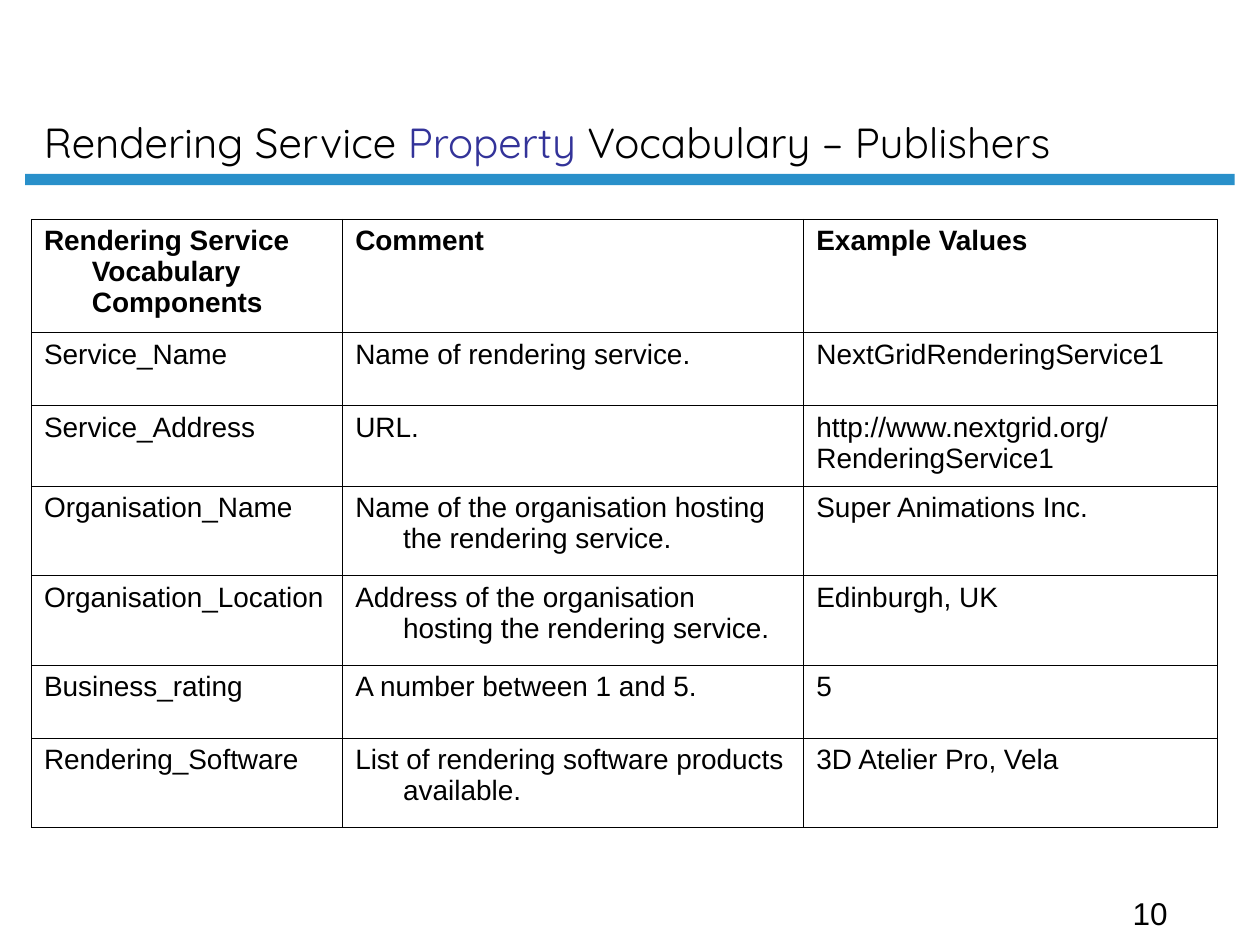
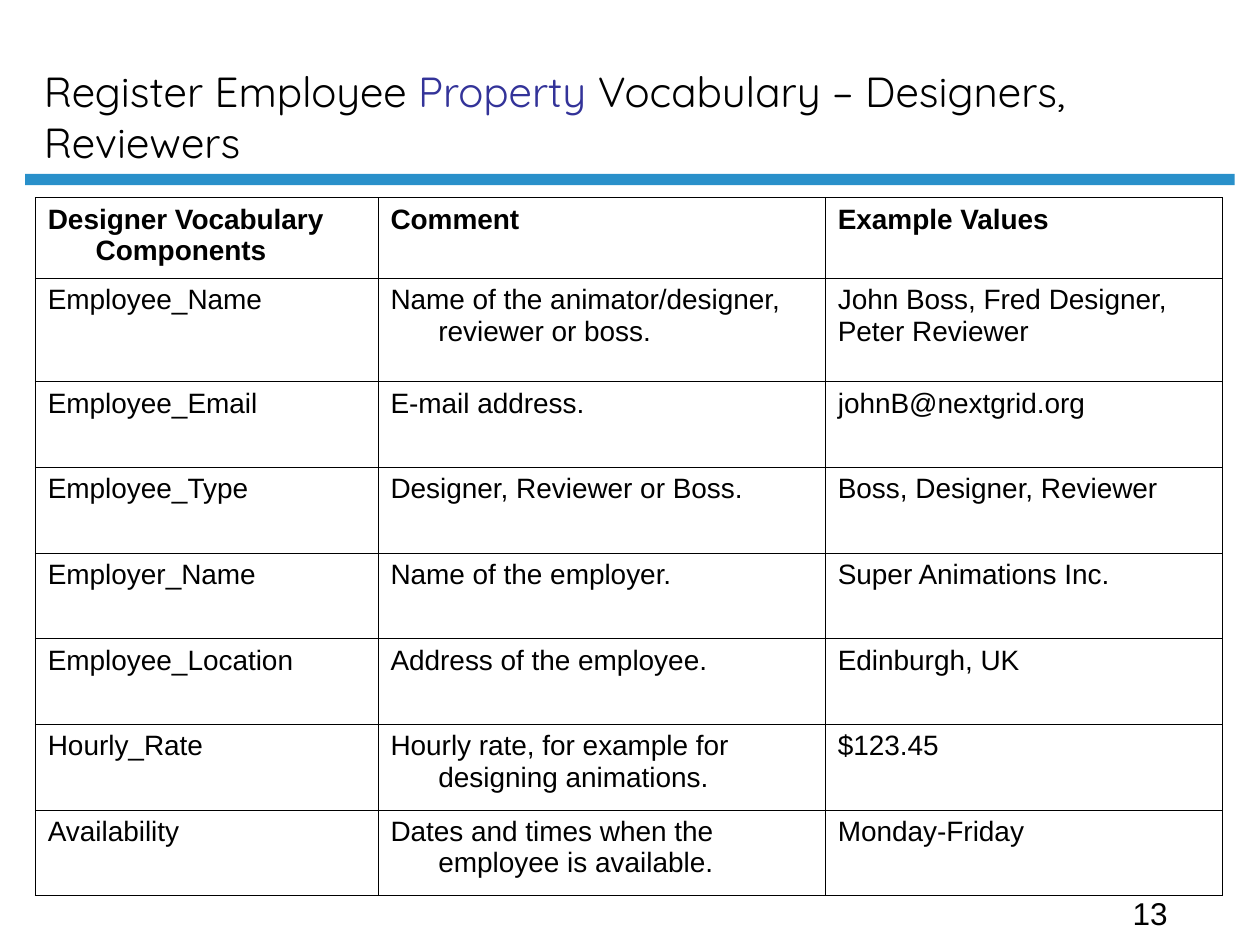
"""Build two slides that list the property vocabularies of a rendering scenario."""
from dataclasses import dataclass

from lxml.etree import SubElement
from pptx import Presentation
from pptx.dml.color import RGBColor
from pptx.enum.shapes import MSO_SHAPE
from pptx.enum.text import MSO_ANCHOR
from pptx.oxml.ns import qn
from pptx.slide import Slide
from pptx.table import _Cell
from pptx.text.text import _Paragraph
from pptx.util import Inches, Pt

BLACK = RGBColor(0x00, 0x00, 0x00)
INDIGO = RGBColor(0x33, 0x33, 0x99)
BAND_BLUE = RGBColor(0x29, 0x90, 0xCA)
TITLE_FONT = "Quicksand"
BODY_FONT = "Arial"
HANGING_INDENT = Inches(0.38)
BORDER_WIDTH = Pt(0.45)
BORDER_SIDES = ("a:lnL", "a:lnR", "a:lnT", "a:lnB")


@dataclass(frozen=True)
class Vocabulary:
    """A titled vocabulary table with its place and page number."""

    subject: str
    audience: str
    page_number: int
    left: float
    top: float
    column_widths: tuple[float, ...]
    row_heights: tuple[float, ...]
    component_heading: str
    entries: tuple[tuple[str, str, str], ...]


RENDERING_SERVICE = Vocabulary(
    subject="Rendering Service",
    audience="Publishers",
    page_number=10,
    left=0.25,
    top=1.74,
    column_widths=(2.47, 3.66, 3.28),
    row_heights=(0.9, 0.58, 0.64, 0.71, 0.71, 0.58, 0.71),
    component_heading="Rendering Service Vocabulary Components",
    entries=(
        ("Service_Name", "Name of rendering service.", "NextGridRenderingService1"),
        ("Service_Address", "URL.", "http://www.nextgrid.org/RenderingService1"),
        ("Organisation_Name", "Name of the organisation hosting the rendering service.",
         "Super Animations Inc."),
        ("Organisation_Location", "Address of the organisation hosting the rendering service.",
         "Edinburgh, UK"),
        ("Business_rating", "A number between 1 and 5.", "5"),
        ("Rendering_Software", "List of rendering software products available.",
         "3D Atelier Pro, Vela"),
    ),
)

REGISTER_EMPLOYEE = Vocabulary(
    subject="Register Employee",
    audience="Designers, Reviewers",
    page_number=13,
    left=0.28,
    top=1.57,
    column_widths=(2.72, 3.55, 3.15),
    row_heights=(0.64, 0.82) + (0.68,) * 6,
    component_heading="Designer Vocabulary Components",
    entries=(
        ("Employee_Name", "Name of the animator/designer, reviewer or boss.",
         "John Boss, Fred Designer, Peter Reviewer"),
        ("Employee_Email", "E-mail address.", "johnB@nextgrid.org"),
        ("Employee_Type", "Designer, Reviewer or Boss.", "Boss, Designer, Reviewer"),
        ("Employer_Name", "Name of the employer.", "Super Animations Inc."),
        ("Employee_Location", "Address of the employee.", "Edinburgh, UK"),
        ("Hourly_Rate", "Hourly rate, for example for designing animations.", "$123.45"),
        ("Availability", "Dates and times when the employee is available.", "Monday-Friday"),
    ),
)


def add_span(para: _Paragraph, text: str, font: str, size: float,
             color: RGBColor = BLACK, bold: bool = False) -> None:
    """Append one formatted run to a paragraph."""
    span = para.add_run()
    span.text = text
    span.font.name = font
    span.font.size = Pt(size)
    span.font.color.rgb = color
    span.font.bold = bold


def add_text_box(page: Slide, left: float, top: float, width: float, height: float,
                 anchor: MSO_ANCHOR = MSO_ANCHOR.TOP) -> _Paragraph:
    """Add a wrapping text box and return its first paragraph."""
    box = page.shapes.add_textbox(Inches(left), Inches(top), Inches(width), Inches(height))
    box.text_frame.word_wrap = True
    box.text_frame.vertical_anchor = anchor
    return box.text_frame.paragraphs[0]


def add_frame(page: Slide, vocabulary: Vocabulary) -> None:
    """Draw the blue band, the page number and the title."""
    band = page.shapes.add_shape(MSO_SHAPE.RECTANGLE, Inches(0.2), Inches(1.38),
                                 Inches(9.6), Inches(0.09))
    band.shadow.inherit = False
    band.fill.solid()
    band.fill.fore_color.rgb = BAND_BLUE
    band.line.fill.background()

    number = add_text_box(page, 8.89, 7.05, 1.11, 0.4)
    add_span(number, str(vocabulary.page_number), BODY_FONT, 18)

    title = add_text_box(page, 0.25, 0.12, 8.56, 1.25, MSO_ANCHOR.BOTTOM)
    add_span(title, f"{vocabulary.subject} ", TITLE_FONT, 24)
    add_span(title, "Property", TITLE_FONT, 24, INDIGO)
    add_span(title, f" Vocabulary – {vocabulary.audience}", TITLE_FONT, 24)


def style_cell(cell: _Cell) -> None:
    """Give a cell thin black borders and no fill."""
    properties = cell._tc.get_or_add_tcPr()
    for side in BORDER_SIDES:
        line = SubElement(properties, qn(side), w=str(BORDER_WIDTH))
        fill = SubElement(line, qn("a:solidFill"))
        SubElement(fill, qn("a:srgbClr"), val=str(BLACK))
    cell.fill.background()


def hang_indent(para: _Paragraph) -> None:
    """Indent every line of a paragraph but the first."""
    properties = para._p.get_or_add_pPr()
    properties.set("marL", str(HANGING_INDENT))
    properties.set("indent", str(-HANGING_INDENT))


def add_vocabulary_table(page: Slide, vocabulary: Vocabulary) -> None:
    """Draw the heading row and the entries as a ruled table."""
    heading = (vocabulary.component_heading, "Comment", "Example Values")
    rows = (heading, *vocabulary.entries)
    widths, heights = vocabulary.column_widths, vocabulary.row_heights
    table = page.shapes.add_table(
        len(rows), len(widths), Inches(vocabulary.left), Inches(vocabulary.top),
        Inches(sum(widths)), Inches(sum(heights))).table
    table.first_row = False
    table.horz_banding = False
    for column, width in zip(table.columns, widths):
        column.width = Inches(width)
    for row_index, (texts, height) in enumerate(zip(rows, heights)):
        table.rows[row_index].height = Inches(height)
        is_heading = row_index == 0
        for column_index, text in enumerate(texts):
            cell = table.cell(row_index, column_index)
            style_cell(cell)
            para = cell.text_frame.paragraphs[0]
            is_example = column_index == len(widths) - 1
            if is_heading or not is_example:
                hang_indent(para)
            add_span(para, text, BODY_FONT, 16, bold=is_heading)


def main() -> None:
    """Build and save the deck."""
    deck = Presentation()
    deck.slide_width = Inches(10)
    deck.slide_height = Inches(7.5)
    for vocabulary in (RENDERING_SERVICE, REGISTER_EMPLOYEE):
        page = deck.slides.add_slide(deck.slide_layouts[6])
        add_frame(page, vocabulary)
        add_vocabulary_table(page, vocabulary)
    deck.save("out.pptx")


if __name__ == "__main__":
    main()
